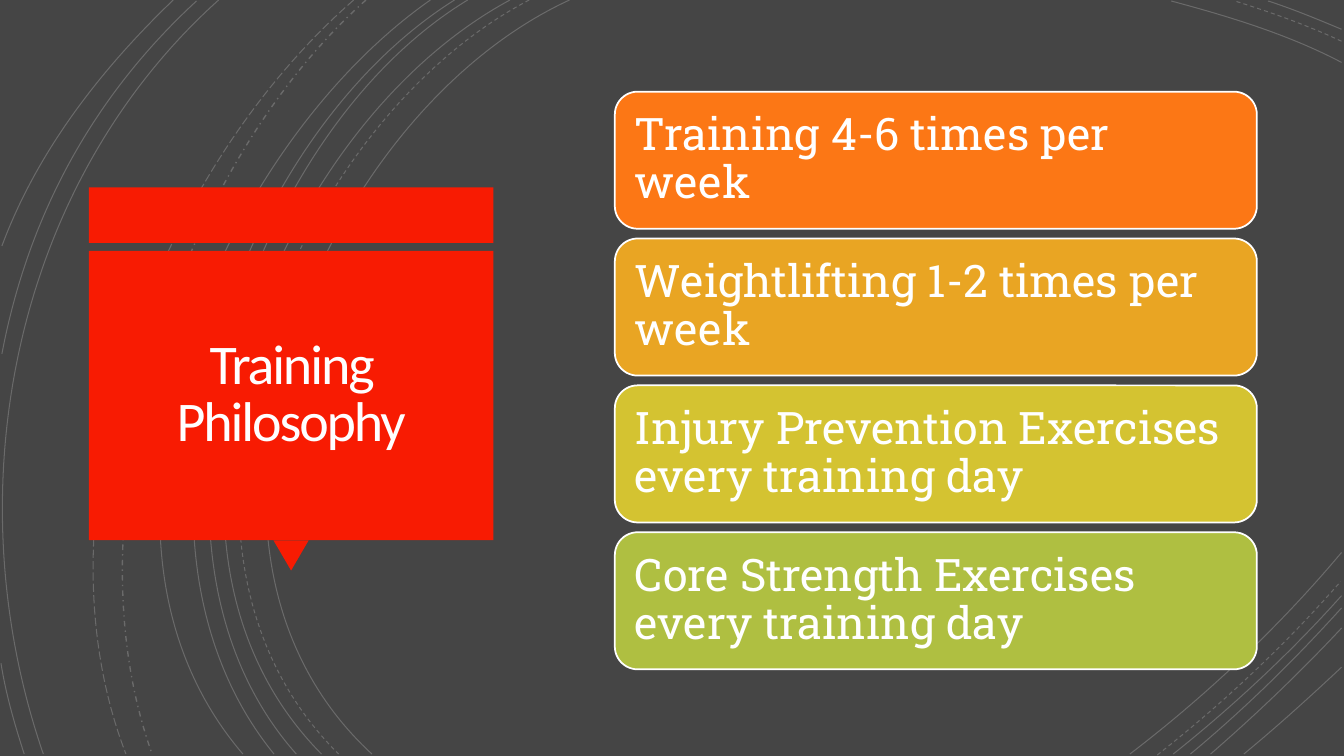
from lxml.etree import SubElement
from pptx import Presentation
from pptx.dml.color import RGBColor
from pptx.enum.dml import MSO_LINE as Dash
from pptx.enum.shapes import MSO_SHAPE as Preset
from pptx.enum.text import MSO_ANCHOR as Anchor, PP_ALIGN as Align
from pptx.oxml.ns import qn
from pptx.util import Pt

WIDTH, HEIGHT = 960, 540
BACKGROUND, RED, WHITE = "454545", "F81B02", "FFFFFF"

# Each arc: start, two control points, end.
SOLID_ARCS = [
    ((406.8, 0), (226.8, 82.8), (103, 388.8), (265.7, 538.6)),
    ((364.3, 0), (194.4, 91.4), (79.2, 386.6), (229.7, 538.6)),
    ((334.1, 0), (175.7, 95.8), (79.2, 389.5), (211.7, 538.6)),
    ((324.7, 0), (166.3, 99.4), (69.8, 383.8), (195.8, 538.6)),
    ((307.4, 0), (156.2, 105.8), (38.2, 380.9), (173.5, 538.6)),
    ((156.2, 0), (7.9, 133.2), (-33.1, 352.8), (31, 538.6)),
    ((140.4, 0.7), (66.2, 69.1), (20.2, 154.1), (1.4, 252.7)),
    ((123.8, 0), (72, 49.7), (26.6, 108), (1.4, 175.7)),
    ((0.7, 473.8), (4.3, 496.1), (10.1, 516.2), (17.3, 538.6)),
    ((958.3, 44.6), (920.2, 24.5), (877, 11.5), (836.6, 0.7)),
    ((958.3, 20.9), (941, 13.7), (923.8, 6.5), (905.8, 0.7)),
    ((807.1, 538.6), (861.8, 496.8), (913.7, 447.8), (958.3, 394.6)),
    ((838.1, 538.6), (880.6, 504.7), (921.6, 466.6), (958.3, 425.5)),
    ((850.3, 538.6), (888.5, 506.9), (924.5, 471.6), (958.3, 434.2)),
    ((864.7, 538.6), (897.1, 510.5), (928.8, 480.2), (958.3, 448.6)),
    ((888.5, 538.6), (912.2, 519.1), (935.3, 498.2), (958.3, 476.6)),
]
DASHED_ARCS = [
    ((378, 0), (205.2, 90), (88.6, 386.6), (241.9, 538.6)),
    ((958.3, 29.5), (933.8, 18), (907.2, 8.6), (882, 0.7)),
    ((826.6, 539.3), (873.4, 502.6), (918, 460.8), (957.6, 415.4)),
]
DASH_DOT_ARC = ((261.4, 0), (126.7, 119.5), (46.8, 366.5), (108.7, 538.6))
LONG_DASH_ARC = ((252.7, 0), (113, 121.7), (20.9, 359.3), (90, 538.6))

HABITS = [
    ("Training 4-6 times per week", "FC7715"),
    ("Weightlifting 1-2 times per week", "E9A523"),
    ("Injury Prevention Exercises every training day", "D4C331"),
    ("Core Strength Exercises every training day", "AFBF41"),
]


def color(hex_string):
    return RGBColor.from_string(hex_string)


def add_block(slide, preset, left, top, width, height, fill, outline=None):
    block = slide.shapes.add_shape(preset, Pt(left), Pt(top), Pt(width), Pt(height))
    block.shadow.inherit = False
    block.fill.solid()
    block.fill.fore_color.rgb = color(fill)
    if outline:
        block.line.color.rgb = color(outline)
        block.line.width = Pt(1.25)
    else:
        block.line.fill.background()
    return block


def write(block, text, font, size, ink=WHITE, align=Align.LEFT, leading=0.9,
          inset=9.6, tracking=None):
    frame = block.text_frame
    frame.word_wrap = True
    frame.vertical_anchor = Anchor.MIDDLE
    frame.margin_left = frame.margin_right = Pt(inset)
    frame.margin_top = frame.margin_bottom = Pt(inset)
    paragraph = frame.paragraphs[0]
    paragraph.alignment = align
    paragraph.line_spacing = leading
    run = paragraph.add_run()
    run.text = text
    run.font.name = font
    run.font.size = Pt(size)
    run.font.color.rgb = color(ink)
    if tracking is not None:
        run.font._element.set("spc", str(round(tracking * 100)))


def bend(arc):
    """Turn the three straight segments of a freeform into one cubic curve."""
    track = next(arc.element.spPr.iter(qn("a:path")))
    segments = track.findall(qn("a:lnTo"))
    curve = SubElement(track, qn("a:cubicBezTo"))
    for segment in segments:
        curve.append(segment[0])
        track.remove(segment)


def add_arc(slide, left, top, curve, dash=Dash.SOLID, weight=0.75):
    points = [(Pt(left + x), Pt(top + y)) for x, y in curve]
    builder = slide.shapes.build_freeform(*points[0])
    builder.add_line_segments(points[1:], close=False)
    arc = builder.convert_to_shape()
    bend(arc)
    arc.shadow.inherit = False
    arc.fill.background()
    arc.line.width = Pt(weight)
    arc.line.color.rgb = color(WHITE)
    arc.line.dash_style = dash
    for ink in arc.element.spPr.iter(qn("a:srgbClr")):
        SubElement(ink, qn("a:alpha"), val="20000")


def add_backdrop(slide, left, top):
    slide.background.fill.solid()
    slide.background.fill.fore_color.rgb = color(BACKGROUND)
    for curve in SOLID_ARCS:
        add_arc(slide, left, top, curve)
    for curve in DASHED_ARCS:
        add_arc(slide, left, top, curve, Dash.DASH)
    add_arc(slide, left, top, DASH_DOT_ARC, Dash.DASH_DOT, weight=1)
    add_arc(slide, left, top, LONG_DASH_ARC, Dash.LONG_DASH)


def add_title_callout(slide, left, top, width, height):
    """Place a band, the title panel and a pointer below its middle."""
    band_height, gap, pointer_width, pointer_height = 39.6, 5.8, 25.2, 21.6
    panel_top = top + band_height + gap
    panel_bottom = top + height - pointer_height
    add_block(slide, Preset.RECTANGLE, left, top, width, band_height, RED)
    pointer = add_block(slide, Preset.ISOSCELES_TRIANGLE,
                        left + (width - pointer_width) / 2, panel_bottom,
                        pointer_width, pointer_height, RED)
    pointer.rotation = 180
    panel = add_block(slide, Preset.RECTANGLE, left, panel_top, width,
                      panel_bottom - panel_top, RED)
    write(panel, "Training Philosophy", "Calibri", 40, ink="FFFEFF",
          align=Align.CENTER, leading=0.85, inset=24.5, tracking=-1.5)


def add_habit_cards(slide, left, top, width, height):
    gap = 7
    card_height = (height - gap * (len(HABITS) - 1)) / len(HABITS)
    for row, (habit, fill) in enumerate(HABITS):
        card = add_block(slide, Preset.ROUNDED_RECTANGLE, left,
                         top + row * (card_height + gap), width, card_height,
                         fill, outline=WHITE)
        write(card, habit, "Roboto Slab", 32)


def main():
    deck = Presentation()
    deck.slide_width, deck.slide_height = Pt(WIDTH), Pt(HEIGHT)
    slide = deck.slides.add_slide(deck.slide_layouts[6])
    add_backdrop(slide, 0, 0)
    add_title_callout(slide, 63.4, 133.9, 289, 273.6)
    add_habit_cards(slide, 439.2, 65.5, 458.6, 412.6)
    deck.save("out.pptx")


if __name__ == "__main__":
    main()
